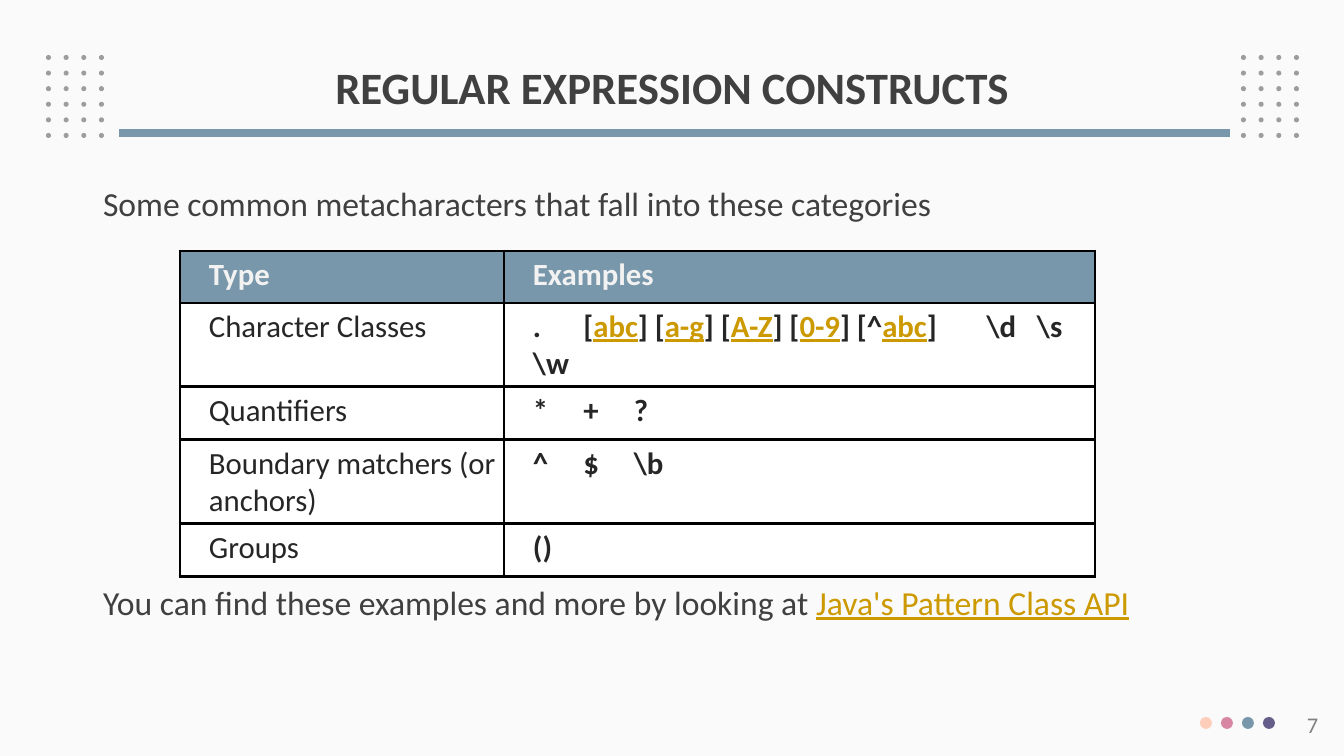
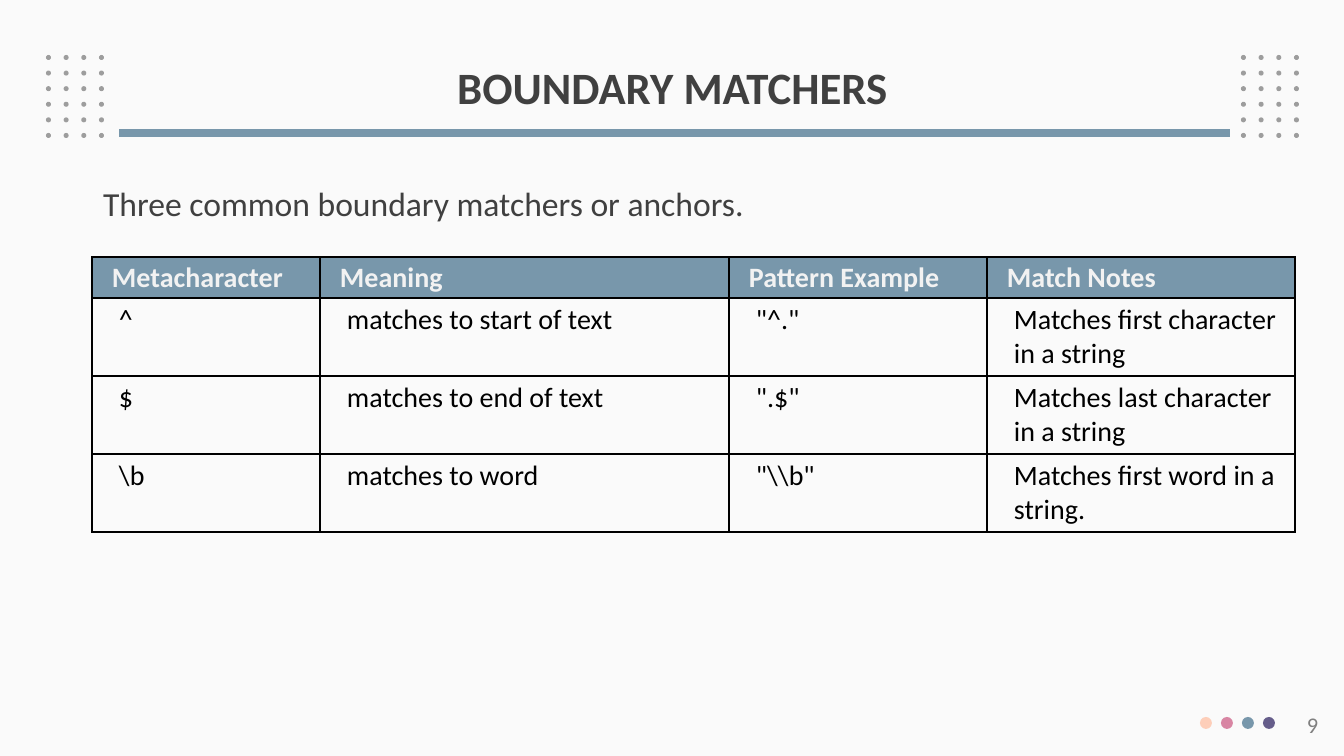
import pptx
import pptx.dml.color
import pptx.enum.shapes
import pptx.enum.text
import pptx.oxml
import pptx.oxml.ns
import pptx.util
from lxml import etree

COLORS = {
    "page": "FAFAFA", "dark": "404040", "cell": "262626", "black": "000000",
    "white": "FFFFFF", "header": "F2F2F2", "link": "CC9900", "number": "808080",
    "dot": "9D9D9D", "peach": "FDCEB9", "rose": "D885A3", "blue": "7897AB",
    "violet": "655D8A",
}
FONT = "Calibri"
PX = 914400 / 100.8

DOT_GRID = {"lefts": (46, 1241), "top": 55, "width": 53, "height": 78,
            "columns": 4, "rows": 6, "size": 5}
FOOTER_DOTS = {"colors": ("peach", "rose", "blue", "violet"),
               "left": 1200, "top": 717, "step": 21, "size": 12}
RULE = {"left": 119, "right": 1230, "y": 133}
TITLE_BOX = (93, 40, 1159, 99)
BODY_BOX = (93, 174, 1159, 507)
NUMBER_BOX = (1026, 706, 302, 40)

SLIDES = [
    {
        "title": "REGULAR EXPRESSION CONSTRUCTS",
        "number": "7",
        "body": [
            ("Some common metacharacters that fall into these categories", 0),
            ("You can find these examples and more by looking at |Java's Pattern Class API|", 253),
        ],
        "table": {
            "at": (180, 251),
            "columns": (324, 591),
            "heights": (52, 53, 53, 84, 53),
            "rows": [
                ("Type", "Examples"),
                ("Character Classes",
                 ".\t[|abc|] [|a-g|] [|A-Z|] [|0-9|] [^|abc|]\t\\d\t\\s \\w"),
                ("Quantifiers", "*\t+\t?"),
                ("Boundary matchers (or anchors)", "^\t$\t\\b"),
                ("Groups", "()"),
            ],
            "tabs": {1: (23, 388, 433), 2: (36, 65), 3: (29, 65)},
            "bold_columns": (1,),
            "size": 22, "color": "cell", "fill": "white", "border": 2.25,
            "header_margins": (29, 5), "margins": (29, 5), "header_anchor": "TOP",
        },
    },
    {
        "title": "BOUNDARY MATCHERS",
        "number": "9",
        "body": [("Three common boundary matchers or anchors.", 0)],
        "table": {
            "at": (92, 257),
            "columns": (228, 409, 258, 308),
            "heights": (41, 78, 78, 78),
            "rows": [
                ("Metacharacter", "Meaning", "Pattern Example", "Match Notes"),
                ("^", "matches to start of text", '"^."',
                 "Matches first character in a string"),
                ("$", "matches to end of text", '".$"',
                 "Matches last character in a string"),
                ("\\b", "matches to word", '"\\\\b"',
                 "Matches first word in a string."),
            ],
            "tabs": {},
            "bold_columns": (),
            "size": 20, "color": "black", "fill": None, "border": 1,
            "header_margins": (20, 0), "margins": (27, 5), "header_anchor": "MIDDLE",
        },
    },
]


def px(value):
    return pptx.util.Emu(round(value * PX))


def rgb(name):
    return pptx.dml.color.RGBColor.from_string(COLORS[name])


def add_element(parent, tag, **attributes):
    element = etree.SubElement(parent, pptx.oxml.ns.qn(tag))
    for name, value in attributes.items():
        element.set(name, str(value))
    return element


def write(para, text, size=24, color="dark", bold=False, align="LEFT",
          line_spacing=None, before=0, tabs=()):
    properties = para._p.get_or_add_pPr()
    properties.set("marL", "0")
    properties.set("indent", "0")
    add_element(properties, "a:buNone")
    if tabs:
        tab_list = add_element(properties, "a:tabLst")
        for position in tabs:
            add_element(tab_list, "a:tab", pos=px(position), algn="l")
    para.alignment = getattr(pptx.enum.text.PP_ALIGN, align)
    para.space_before = pptx.util.Pt(before)
    if line_spacing:
        para.line_spacing = line_spacing
    for index, part in enumerate(text.split("|")):
        if not part:
            continue
        is_link = index % 2 == 1
        span = para.add_run()
        span.text = part
        span.font.name = FONT
        span.font.size = pptx.util.Pt(size)
        span.font.bold = bold
        span.font.underline = is_link
        span.font.color.rgb = rgb("link" if is_link else color)


def place(shape, box):
    shape.left, shape.top, shape.width, shape.height = map(px, box)
    return shape


def add_dot(group, left, top, size, color):
    oval = pptx.enum.shapes.MSO_SHAPE.OVAL
    dot = group.shapes.add_shape(oval, px(left), px(top), px(size), px(size))
    dot.shadow.inherit = False
    dot.fill.solid()
    dot.fill.fore_color.rgb = rgb(color)
    dot.line.fill.background()


def add_frame(page, number):
    grid = DOT_GRID
    corners = page.shapes.add_group_shape()
    for row in range(grid["rows"]):
        top = grid["top"] + grid["height"] * row / (grid["rows"] - 1)
        for left in grid["lefts"]:
            for column in range(grid["columns"]):
                offset = grid["width"] * column / (grid["columns"] - 1)
                add_dot(corners, left + offset, top, grid["size"], "dot")

    rule = page.shapes.add_connector(
        pptx.enum.shapes.MSO_CONNECTOR.STRAIGHT,
        px(RULE["right"]), px(RULE["y"]), px(RULE["left"]), px(RULE["y"]))
    rule.line.color.rgb = rgb("blue")
    rule.line.width = pptx.util.Pt(5.25)
    add_element(rule._element.spPr, "a:effectLst")

    footer = page.shapes.add_group_shape()
    for index, color in enumerate(FOOTER_DOTS["colors"]):
        add_dot(footer, FOOTER_DOTS["left"] + index * FOOTER_DOTS["step"],
                FOOTER_DOTS["top"], FOOTER_DOTS["size"], color)

    box = page.shapes.add_textbox(*map(px, NUMBER_BOX))
    box.text_frame.word_wrap = True
    write(box.text_frame.paragraphs[0], number, size=16, color="number", align="RIGHT")


def add_borders(cell, width):
    properties = cell._tc.get_or_add_tcPr()
    for side in ("a:lnL", "a:lnR", "a:lnT", "a:lnB"):
        line = add_element(properties, side, w=pptx.util.Pt(width))
        fill = add_element(line, "a:solidFill")
        add_element(fill, "a:srgbClr", val=COLORS["black"])


def format_cell(cell, text, content, row, column):
    is_header = row == 0
    side, edge = content["header_margins" if is_header else "margins"]
    anchor = content["header_anchor"] if is_header else "TOP"
    fill = "blue" if is_header else content["fill"]
    cell.margin_left = px(side)
    cell.margin_right = px(edge)
    cell.margin_top = cell.margin_bottom = px(edge)
    cell.vertical_anchor = getattr(pptx.enum.text.MSO_ANCHOR, anchor)
    add_borders(cell, content["border"])
    if fill:
        cell.fill.solid()
        cell.fill.fore_color.rgb = rgb(fill)
    else:
        cell.fill.background()
    write(cell.text_frame.paragraphs[0], text, size=content["size"],
          color="header" if is_header else content["color"],
          bold=is_header or column in content["bold_columns"],
          tabs=content["tabs"].get(row, ()) if column == 1 else ())


def add_grid(page, content):
    columns, heights = content["columns"], content["heights"]
    left, top = content["at"]
    table = page.shapes.add_table(
        len(heights), len(columns), px(left), px(top),
        px(sum(columns)), px(sum(heights))).table
    table.first_row = False
    table.horz_banding = False
    for index, width in enumerate(columns):
        table.columns[index].width = px(width)
    for row, height in enumerate(heights):
        table.rows[row].height = px(height)
        for column, text in enumerate(content["rows"][row]):
            format_cell(table.cell(row, column), text, content, row, column)


def add_page(deck, content):
    page = deck.slides.add_slide(deck.slide_layouts[1])
    add_frame(page, content["number"])

    title = place(page.shapes.title, TITLE_BOX).text_frame
    title.auto_size = pptx.enum.text.MSO_AUTO_SIZE.NONE
    title.vertical_anchor = pptx.enum.text.MSO_ANCHOR.MIDDLE
    write(title.paragraphs[0], content["title"], size=32, bold=True,
          align="CENTER", line_spacing=0.9)

    body = place(page.placeholders[1], BODY_BOX).text_frame
    body.auto_size = pptx.enum.text.MSO_AUTO_SIZE.NONE
    for index, (text, before) in enumerate(content["body"]):
        para = body.add_paragraph() if index else body.paragraphs[0]
        write(para, text, line_spacing=1.1, before=before)

    add_grid(page, content["table"])


def main():
    deck = pptx.Presentation()
    deck.slide_width = px(1344)
    deck.slide_height = px(756)
    background = deck.slide_master.background.fill
    background.solid()
    background.fore_color.rgb = rgb("page")
    for content in SLIDES:
        add_page(deck, content)
    deck.save("out.pptx")


if __name__ == "__main__":
    main()
